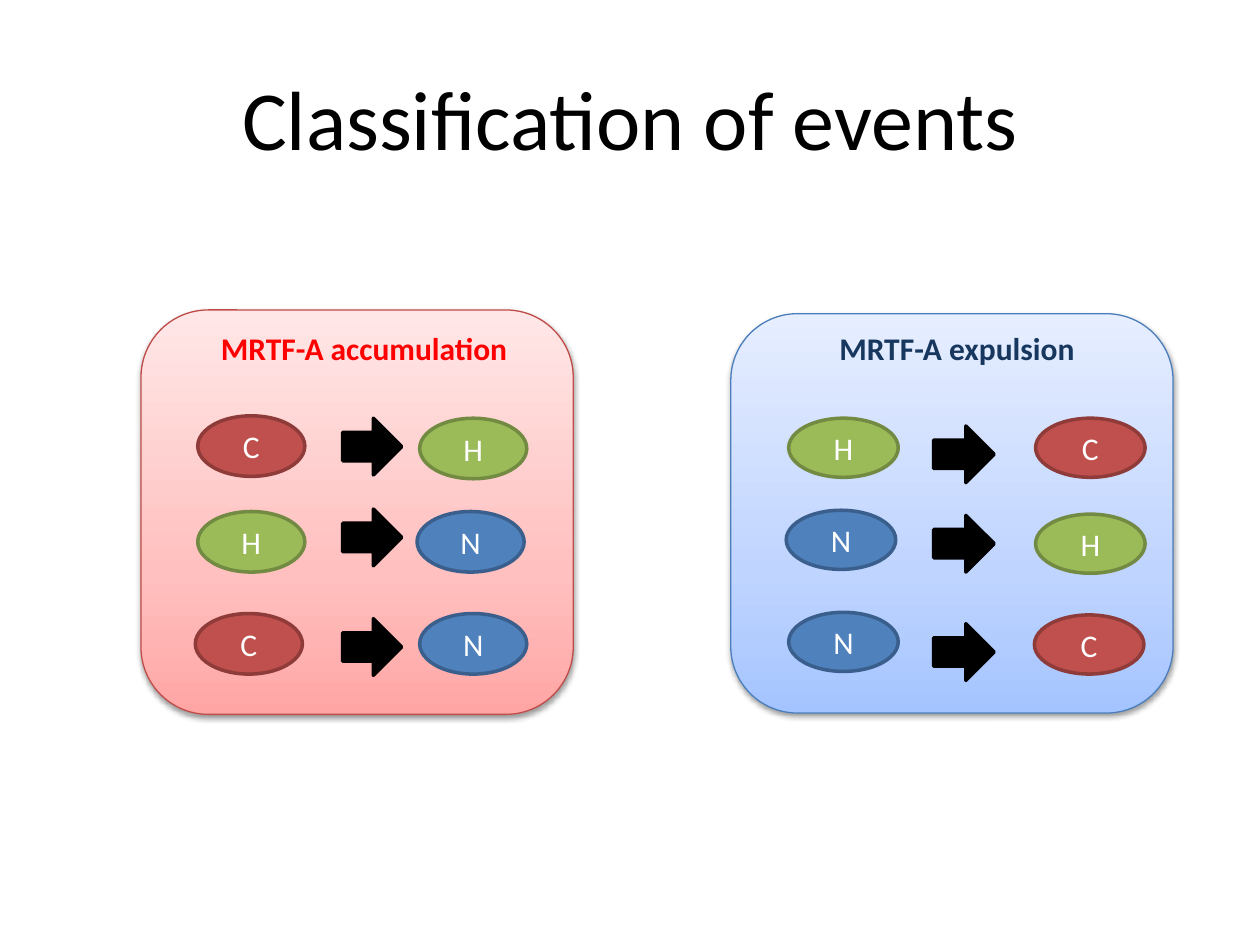
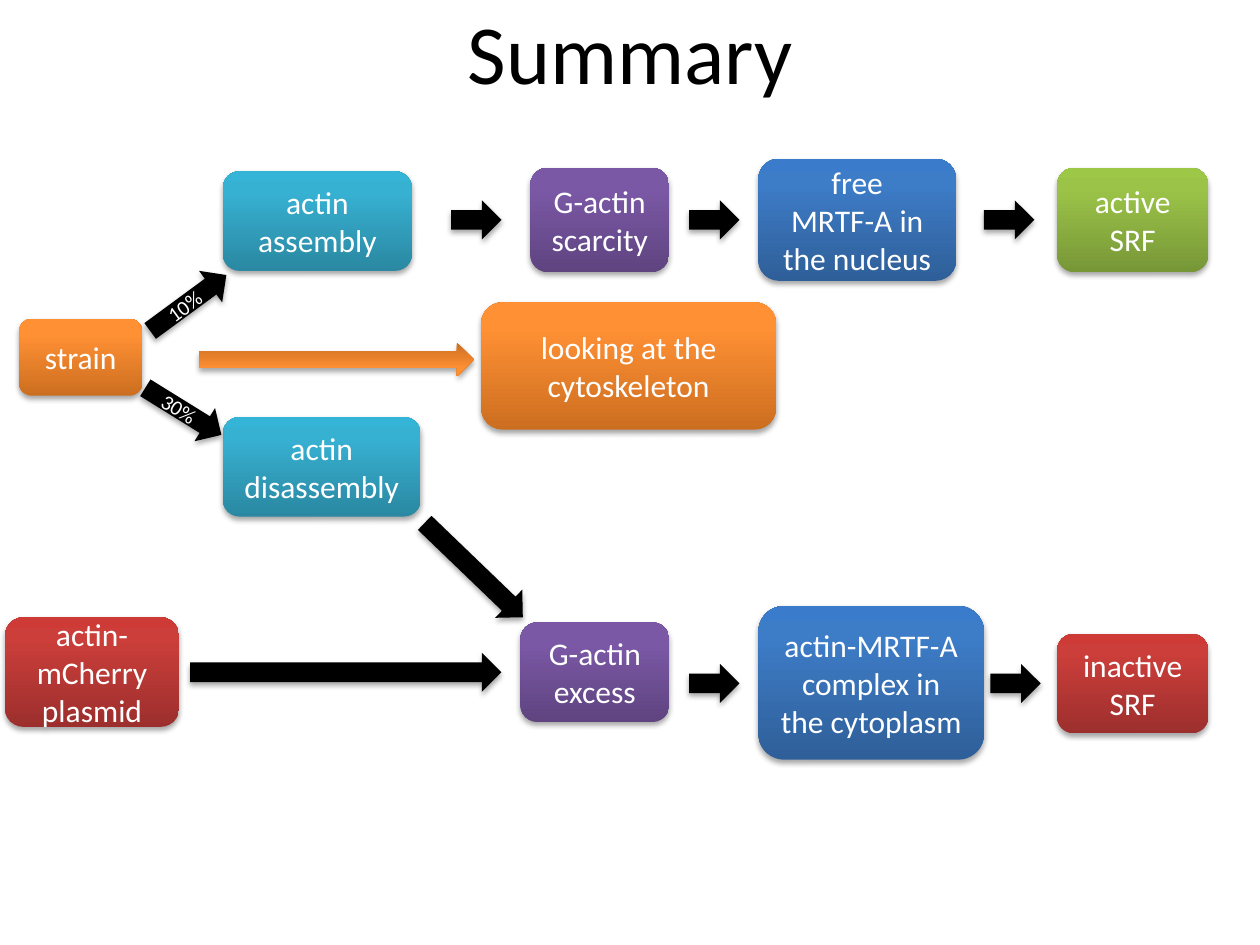
import copy
from dataclasses import dataclass

import pptx
import pptx.dml.color
import pptx.enum.shapes
import pptx.enum.text
import pptx.oxml
import pptx.oxml.ns
import pptx.util

Pt = pptx.util.Pt
RGB = pptx.dml.color.RGBColor.from_string
Preset = pptx.enum.shapes.MSO_SHAPE
Anchor = pptx.enum.text.MSO_ANCHOR
AutoSize = pptx.enum.text.MSO_AUTO_SIZE
Align = pptx.enum.text.PP_ALIGN
qn = pptx.oxml.ns.qn


@dataclass(frozen=True)
class Theme:
    font: str = "Calibri"
    title_size: float = 48
    body_size: float = 18
    small_size: float = 12
    ink: str = "000000"
    paper: str = "FFFFFF"
    red_text: str = "FF0000"
    navy_text: str = "17375E"
    pale_red: tuple = ((0, "FFA6A5"), (0.35, "FFC0BF"), (1, "FFE7E7"))
    pale_blue: tuple = ((0, "A4C4FF"), (0.35, "BFD4FF"), (1, "E6EEFF"))
    red_edge: str = "BF4C48"
    blue_edge: str = "4B7EBC"
    teal: tuple = ((0, "2A88A2"), (0.8, "37B1D2"), (1, "34B4D6"))
    blue: tuple = ((0, "2F5F99"), (0.8, "3D7CC7"), (1, "3A7CCB"))
    green: tuple = ((0, "779737"), (0.8, "9BC348"), (1, "9DC746"))
    orange: tuple = ((0, "CC6E20"), (0.8, "FF9034"), (1, "FF9136"))
    purple: tuple = ((0, "5F4480"), (0.8, "7B58A6"), (1, "7C57A8"))
    red: tuple = ((0, "9C2F2D"), (0.8, "CB3E3A"), (1, "CE3B37"))


THEME = Theme()

STATE_COLOURS = {
    "C": ("C0504D", "8E3B39"),
    "H": ("9BBB59", "738A42"),
    "N": ("4F81BD", "3A5F8C"),
}


class Painter:
    def __init__(self, deck, theme):
        self.deck = deck
        self.theme = theme
        self.page = None
        self.shapes = None

    def new_page(self, title, top):
        self.page = self.deck.slides.add_slide(self.deck.slide_layouts[5])
        self.shapes = self.page.shapes
        box = self.page.shapes.title
        self.place(box, (36, top, 648, 90))
        box.text_frame.auto_size = AutoSize.NONE
        self.set_text(box, title, self.theme.title_size, self.theme.ink)

    def start_group(self):
        self.shapes = self.page.shapes.add_group_shape().shapes

    def end_group(self):
        self.shapes = self.page.shapes

    def place(self, box, area):
        box.left, box.top, box.width, box.height = map(Pt, area)

    def set_text(self, box, text, size, colour, bold=False):
        frame = box.text_frame
        frame.text = text
        frame.word_wrap = True
        for para in frame.paragraphs:
            para.alignment = Align.CENTER
            for span in para.runs:
                span.font.name = self.theme.font
                span.font.size = Pt(size)
                span.font.bold = bold
                span.font.color.rgb = RGB(colour)

    def paint(self, shape, fill):
        if isinstance(fill, str):
            shape.fill.solid()
            shape.fill.fore_color.rgb = RGB(fill)
            return
        shape.fill.gradient()
        shape.fill.gradient_angle = 90
        stops = shape.element.spPr.find(".//" + qn("a:gsLst"))
        stops.insert(1, copy.deepcopy(stops[0]))
        for stop, (position, colour) in zip(shape.fill.gradient_stops, fill):
            stop.position = position
            stop.color.rgb = RGB(colour)

    def cast_shadow(self, shape, alpha, distance):
        shadow = pptx.oxml.parse_xml(
            f'<a:outerShdw {pptx.oxml.ns.nsdecls("a")} blurRad="{Pt(3.15)}" '
            f'dist="{Pt(distance)}" dir="5400000" rotWithShape="0">'
            f'<a:srgbClr val="{self.theme.ink}"><a:alpha val="{alpha}000"/>'
            "</a:srgbClr></a:outerShdw>"
        )
        shape.element.spPr.find(qn("a:effectLst")).append(shadow)

    def shape(self, preset, area, fill, edge=None, weight=2, shadow=None):
        shape = self.shapes.add_shape(preset, *map(Pt, area))
        shape.shadow.inherit = False
        self.paint(shape, fill)
        if edge:
            shape.line.color.rgb = RGB(edge)
            shape.line.width = Pt(weight)
        else:
            shape.line.fill.background()
        if shadow:
            self.cast_shadow(shape, *shadow)
        return shape

    def label(self, shape, text, size):
        shape.text_frame.vertical_anchor = Anchor.MIDDLE
        self.set_text(shape, text, size, self.theme.paper)

    def heading(self, area, text, colour):
        box = self.shapes.add_textbox(*map(Pt, area))
        self.set_text(box, text, self.theme.body_size, colour, bold=True)
        box.text_frame.auto_size = AutoSize.SHAPE_TO_FIT_TEXT

    def panel(self, area, fill, edge):
        self.shape(Preset.ROUNDED_RECTANGLE, area, fill, edge, 0.75, (38, 1.57))

    def state(self, letter, place, size):
        fill, edge = STATE_COLOURS[letter]
        oval = self.shape(Preset.OVAL, (*place, *size), fill, edge)
        self.label(oval, letter, self.theme.body_size)

    def step_arrow(self, area):
        self.shape(Preset.RIGHT_ARROW, area, self.theme.ink, self.theme.ink)

    def card(self, area, fill, text):
        card = self.shape(Preset.ROUNDED_RECTANGLE, area, fill, shadow=(35, 1.81))
        self.label(card, text, self.theme.body_size)

    def flow_arrow(self, area, fill, rotation=0, text="", flipped=False):
        arrow = self.shape(Preset.RIGHT_ARROW, area, fill, shadow=(35, 1.81))
        arrow.rotation = rotation
        if flipped:
            arrow.element.spPr.xfrm.set("flipV", "1")
        if text:
            self.label(arrow, text, self.theme.small_size)


EVENT_PANELS = (
    dict(
        area=(80.6, 177.1, 247, 231.1), fill=THEME.pale_red, edge=THEME.red_edge,
        heading="MRTF-A accumulation", heading_area=(70.6, 184.3, 275, 28.8),
        heading_colour=THEME.red_text,
        oval=(61.2, 34.6), arrow_left=195.8, arrow=(33.8, 32.4),
        steps=(
            ("C", (113, 237.6), 239, "H", (239.8, 239)),
            ("H", (113, 292.3), 290.9, "N", (238.3, 292.3)),
            ("C", (111.6, 350.6), 353.5, "N", (239.8, 350.6)),
        ),
    ),
    dict(
        area=(417.6, 179.3, 252.7, 228.2), fill=THEME.pale_blue, edge=THEME.blue_edge,
        heading="MRTF-A expulsion", heading_area=(417.6, 184.3, 258.5, 28.8),
        heading_colour=THEME.navy_text,
        oval=(62.6, 33.8), arrow_left=533.5, arrow=(34.6, 32.4),
        steps=(
            ("H", (450.7, 239), 243.4, "C", (591.8, 239)),
            ("N", (449.3, 291.6), 294.5, "H", (591.8, 293.8)),
            ("N", (450.7, 349.9), 356.4, "C", (591.1, 351.4)),
        ),
    ),
)

SUMMARY_CARDS = (
    ((127.4, 97.9, 108, 56.9), THEME.teal, "actin assembly"),
    ((433.4, 90.7, 113, 69.8), THEME.blue, "free\nMRTF-A in the nucleus"),
    ((604.1, 95.8, 86.4, 59.8), THEME.green, "active SRF"),
    ((10.8, 182.2, 70.6, 43.9), THEME.orange, "strain"),
    ((297.4, 355.7, 85, 56.9), THEME.purple, "G-actin excess"),
    ((303.1, 95.8, 79.2, 59.8), THEME.purple, "G-actin scarcity"),
    ((127.4, 238.3, 113, 56.9), THEME.teal, "actin disassembly"),
    ((433.4, 346.3, 128.9, 87.8), THEME.blue, "actin-MRTF-A\ncomplex in the cytoplasm"),
    ((604.1, 362.2, 86.4, 56.9), THEME.red, "inactive\nSRF"),
    ((2.9, 352.8, 99.4, 62.6), THEME.red, "actin-mCherry plasmid"),
)

ARROW_HEIGHT = 22.3
SUMMARY_ARROWS = (
    (257.8, 114.5, 28.8, 0, ""),
    (393.8, 114.5, 28.8, 0, ""),
    (562.3, 114.5, 28.8, 0, ""),
    (80.6, 162, 54, 323.7, "10%"),
    (79.2, 223.9, 51.1, 31.8, "30%"),
    (108.7, 373, 177.8, 0, ""),
    (231.8, 314.6, 77.8, 43.9, ""),
    (393.8, 379.4, 28.8, 0, ""),
    (565.9, 379.4, 28.8, 0, ""),
)


def build_events(painter):
    painter.new_page("Classification of events", 21.6)
    for panel in EVENT_PANELS:
        painter.start_group()
        painter.panel(panel["area"], panel["fill"], panel["edge"])
        painter.heading(panel["heading_area"], panel["heading"], panel["heading_colour"])
        for before, before_place, arrow_top, after, after_place in panel["steps"]:
            painter.state(before, before_place, panel["oval"])
            painter.step_arrow((panel["arrow_left"], arrow_top, *panel["arrow"]))
            painter.state(after, after_place, panel["oval"])
        painter.end_group()


def build_summary(painter):
    painter.new_page("Summary", -15.8)
    painter.start_group()
    for area, fill, text in SUMMARY_CARDS:
        painter.card(area, fill, text)
    for left, top, width, rotation, text in SUMMARY_ARROWS:
        area = (left, top, width, ARROW_HEIGHT)
        painter.flow_arrow(area, THEME.ink, rotation, text)
    painter.end_group()
    painter.flow_arrow((113.8, 195.8, 157, 19.4), THEME.orange, flipped=True)
    painter.card((275, 172.8, 168.5, 72.7), THEME.orange, "looking at the cytoskeleton")


def main():
    deck = pptx.Presentation()
    deck.slide_width = Pt(720)
    deck.slide_height = Pt(540)
    painter = Painter(deck, THEME)
    build_events(painter)
    build_summary(painter)
    deck.save("out.pptx")


if __name__ == "__main__":
    main()
